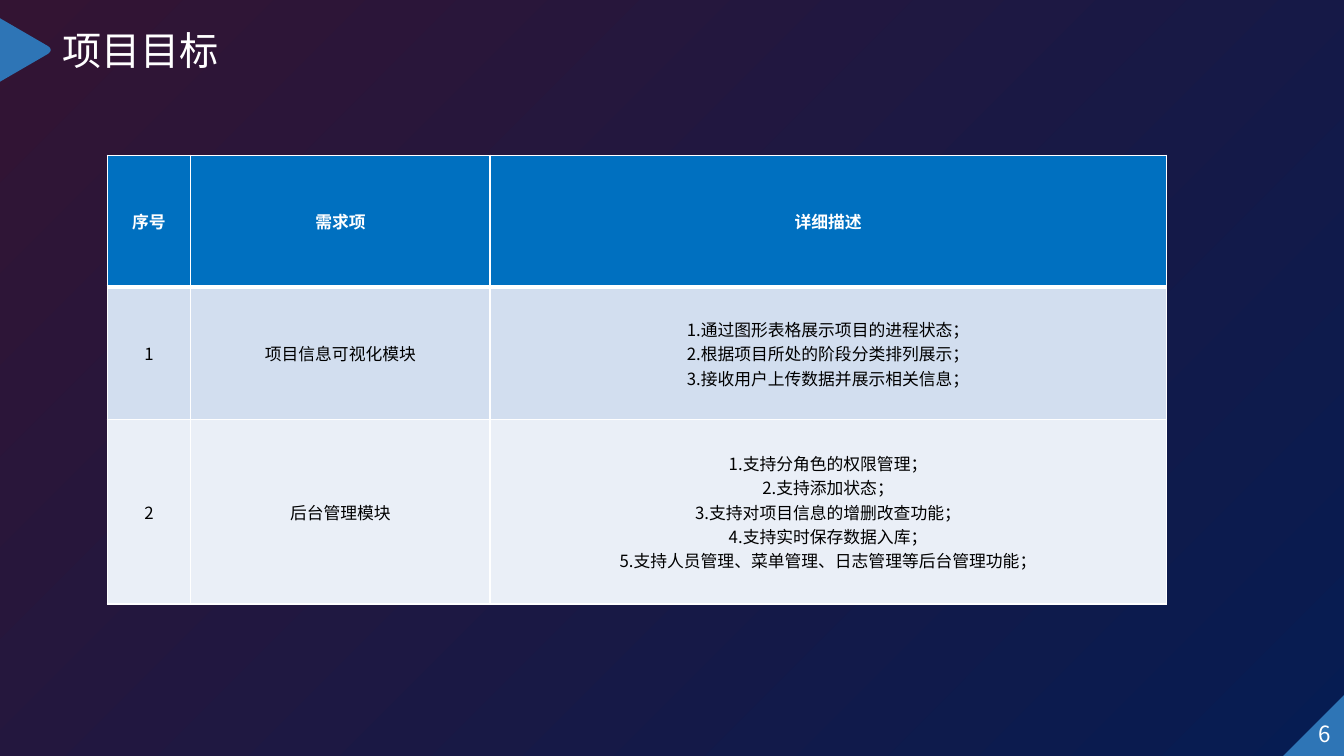
from lxml.etree import SubElement
from pptx import Presentation
from pptx.dml.color import RGBColor
from pptx.enum.shapes import MSO_SHAPE
from pptx.enum.text import MSO_ANCHOR, MSO_AUTO_SIZE, PP_ALIGN
from pptx.oxml.ns import qn
from pptx.util import Cm, Pt

FONT = "Noto Sans CJK SC"
WHITE = RGBColor(0xFF, 0xFF, 0xFF)
BLACK = RGBColor(0, 0, 0)
PLUM = RGBColor(0x33, 0x14, 0x33)
NAVY = RGBColor(0x06, 0x1C, 0x52)
ACCENT = RGBColor(0x2E, 0x75, 0xB6)
HEADER_BLUE = RGBColor(0x00, 0x70, 0xC0)
ROW_FILLS = [HEADER_BLUE, RGBColor(0xD2, 0xDE, 0xEF), RGBColor(0xEA, 0xEF, 0xF7)]

COLUMN_WIDTHS = [2.11, 7.54, 17.04]
ROW_HEIGHTS = [3.33, 3.33, 4.65]
REQUIREMENTS = [
    [["序号"], ["需求项"], ["详细描述"]],
    [["1"], ["项目信息可视化模块"], [
        "1.通过图形表格展示项目的进程状态；",
        "2.根据项目所处的阶段分类排列展示；",
        "3.接收用户上传数据并展示相关信息；",
    ]],
    [["2"], ["后台管理模块"], [
        "1.支持分角色的权限管理；",
        "2.支持添加状态；",
        "3.支持对项目信息的增删改查功能；",
        "4.支持实时保存数据入库；",
        "5.支持人员管理、菜单管理、日志管理等后台管理功能；",
    ]],
]


def set_background(slide):
    fill = slide.background.fill
    fill.gradient()
    fill.gradient_angle = 315
    for stop, color, position in zip(fill.gradient_stops, (PLUM, NAVY), (0, 1)):
        stop.color.rgb = color
        stop.position = position


def write_lines(text_frame, lines, size, color, alignment, bold=False):
    for index, line in enumerate(lines):
        paragraph = text_frame.add_paragraph() if index else text_frame.paragraphs[0]
        paragraph.alignment = alignment
        run = paragraph.add_run()
        run.text = line
        run.font.name = FONT
        run.font.size = Pt(size)
        run.font.bold = bold
        run.font.color.rgb = color
        SubElement(run.font._element, qn("a:ea"), typeface=FONT)


def add_title(slide, text):
    title = slide.shapes.title
    title.left, title.top, title.width, title.height = Cm(1.32), Cm(0.53), Cm(4.5), Cm(1.45)
    text_frame = title.text_frame
    text_frame.word_wrap = False
    text_frame.auto_size = MSO_AUTO_SIZE.NONE
    text_frame.vertical_anchor = MSO_ANCHOR.MIDDLE
    write_lines(text_frame, [text], 28, WHITE, PP_ALIGN.LEFT)


def paint_accent(shape):
    shape.shadow.inherit = False
    shape.fill.solid()
    shape.fill.fore_color.rgb = ACCENT
    shape.line.fill.background()


def curve_points(start, control_1, control_2, end, steps=12):
    """Points along a cubic Bezier curve."""
    points = []
    for step in range(steps + 1):
        t = step / steps
        weights = ((1 - t) ** 3, 3 * t * (1 - t) ** 2, 3 * t * t * (1 - t), t ** 3)
        points.append(tuple(
            sum(weight * value for weight, value in zip(weights, values))
            for values in zip(start, control_1, control_2, end)))
    return points


def add_title_marker(slide):
    """Arrowhead with a rounded tip at the left edge."""
    tip = curve_points((1.17, 1.14), (1.32, 1.22), (1.3, 1.3), (1.19, 1.37))
    builder = slide.shapes.build_freeform(0, Cm(0.46))
    builder.add_line_segments([(Cm(x), Cm(y)) for x, y in tip + [(0, 2.06)]])
    paint_accent(builder.convert_to_shape())


def add_page_number(slide, number):
    corner = slide.shapes.add_shape(
        MSO_SHAPE.ISOSCELES_TRIANGLE, Cm(32.33), Cm(17.52), Cm(1.54), Cm(1.54))
    corner.adjustments[0] = 1
    paint_accent(corner)
    box = slide.shapes.add_textbox(Cm(32.97), Cm(18.11), Cm(0.76), Cm(0.74))
    box.text_frame.word_wrap = True
    box.text_frame.margin_top = Cm(0.04)
    box.text_frame.margin_bottom = 0
    write_lines(box.text_frame, [number], 16, WHITE, PP_ALIGN.RIGHT)


def add_border(cell, side, points):
    line = SubElement(cell._tc.get_or_add_tcPr(), qn(f"a:ln{side}"), w=str(Pt(points)))
    solid = SubElement(line, qn("a:solidFill"))
    SubElement(solid, qn("a:srgbClr"), val=str(WHITE))


def format_cell(cell, row_index, lines):
    is_header = row_index == 0
    borders = {"L": 1, "R": 1, "T": 3 if row_index == 1 else 1, "B": 3 if is_header else 1}
    for side, points in borders.items():
        add_border(cell, side, points)
    cell.fill.solid()
    cell.fill.fore_color.rgb = ROW_FILLS[row_index]
    cell.vertical_anchor = MSO_ANCHOR.MIDDLE
    write_lines(cell.text_frame, lines, 12, WHITE if is_header else BLACK,
                PP_ALIGN.CENTER, bold=is_header)


def add_requirements_table(slide):
    table = slide.shapes.add_table(
        len(ROW_HEIGHTS), len(COLUMN_WIDTHS), Cm(2.7), Cm(3.91),
        Cm(sum(COLUMN_WIDTHS)), Cm(sum(ROW_HEIGHTS))).table
    for column, width in zip(table.columns, COLUMN_WIDTHS):
        column.width = Cm(width)
    for row, height in zip(table.rows, ROW_HEIGHTS):
        row.height = Cm(height)
    for row_index, row in enumerate(REQUIREMENTS):
        for column_index, lines in enumerate(row):
            format_cell(table.cell(row_index, column_index), row_index, lines)


def main():
    presentation = Presentation()
    presentation.slide_width = Cm(33.87)
    presentation.slide_height = Cm(19.05)
    slide = presentation.slides.add_slide(presentation.slide_layouts[5])
    set_background(slide)
    add_title(slide, "项目目标")
    add_title_marker(slide)
    add_page_number(slide, "6")
    add_requirements_table(slide)
    presentation.save("out.pptx")


if __name__ == "__main__":
    main()
